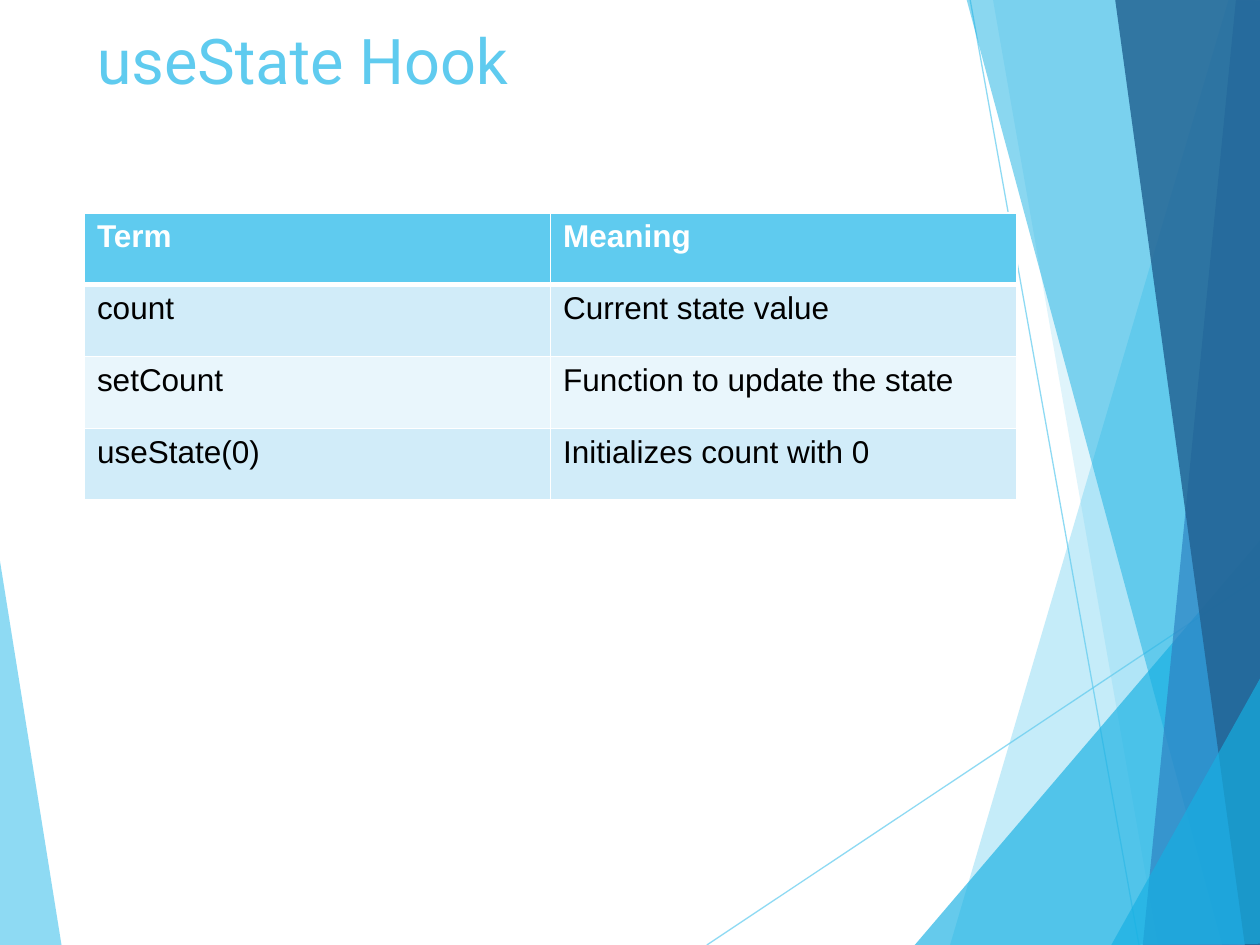
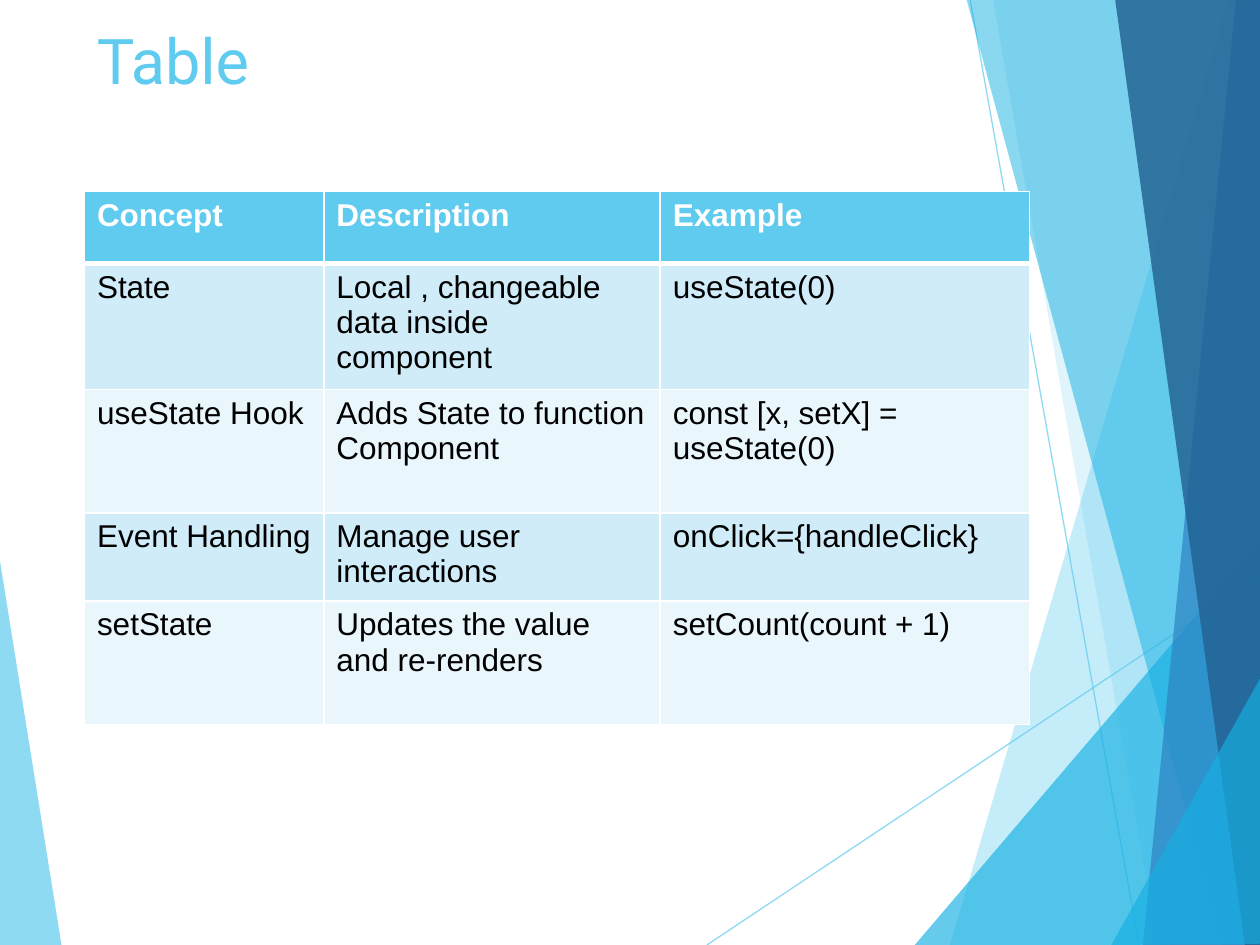
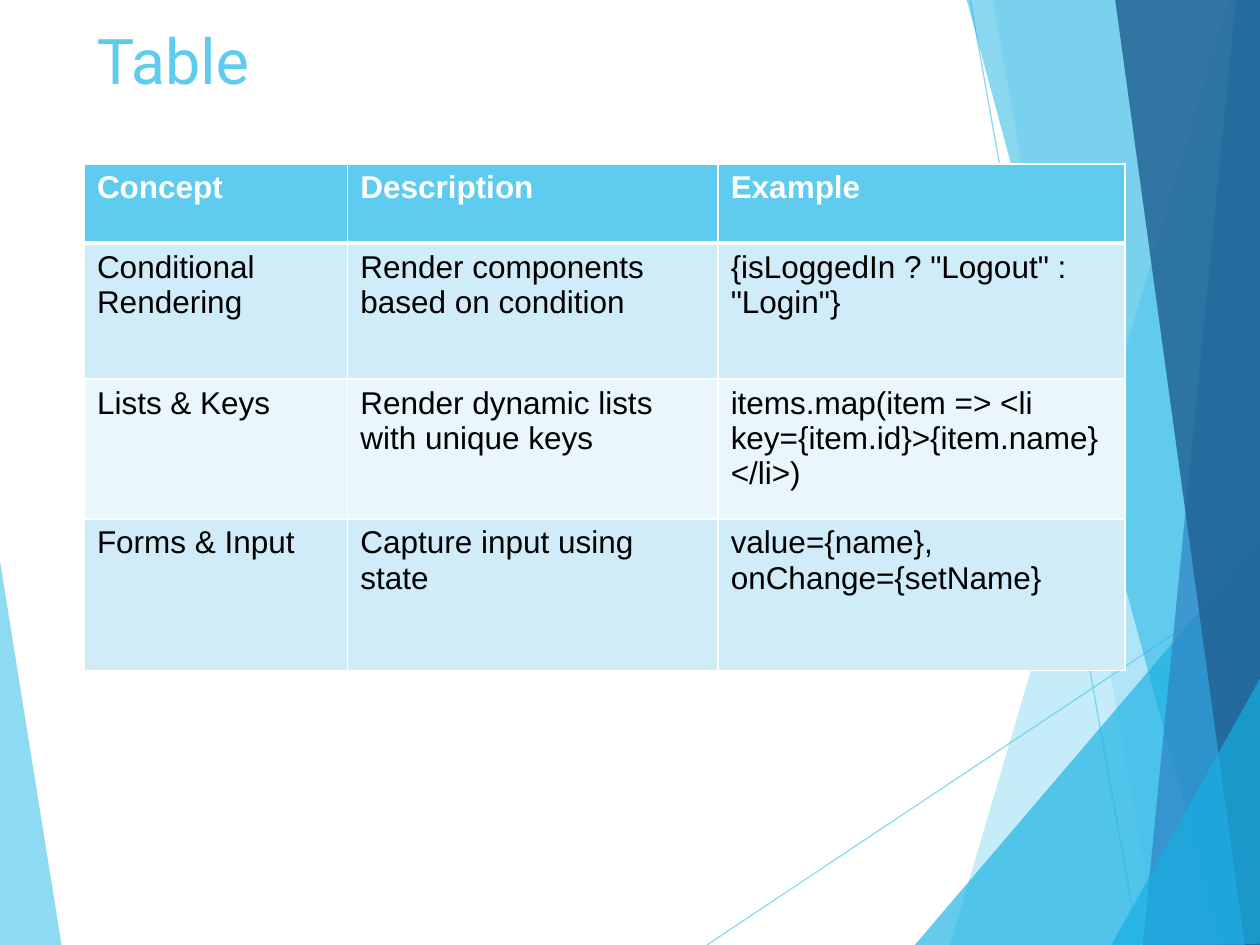
"""Build three slides of React state tables over a shared faceted background."""
from lxml.etree import SubElement
from pptx import Presentation
from pptx.dml.color import RGBColor
from pptx.enum.shapes import MSO_CONNECTOR as Connector
from pptx.enum.text import MSO_ANCHOR as Anchor
from pptx.oxml.ns import qn
from pptx.util import Inches, Pt

SKY, CYAN, BLUE, NAVY = "5FCBEF", "16B0E3", "2E83C3", "226292"
WHITE, BLACK = "FFFFFF", "000000"
ROW_FILLS = ["D1ECF9", "E9F6FC"]
TABLE_LEFT = 0.67
TABLE_HEADER = ["Concept", "Description", "Example"]

SLIDES = [
    {
        "title": "useState Hook", "top": 1.69,
        "widths": [3.7, 3.7], "heights": [0.57] * 4,
        "rows": [
            ["Term", "Meaning"],
            ["count", "Current state value"],
            ["setCount", "Function to update the state"],
            ["useState(0)", "Initializes count with 0"],
        ],
    },
    {
        "title": "Table", "top": 1.52,
        "widths": [1.9, 2.67, 2.93], "heights": [0.57, 0.98, 0.98, 0.57, 0.98],
        "rows": [
            TABLE_HEADER,
            ["State", "Local , changeable data inside component", "useState(0)"],
            ["useState Hook", "Adds State to function Component", "const [x, setX] = useState(0)"],
            ["Event Handling", "Manage user interactions", "onClick={handleClick}"],
            ["setState", "Updates the value and re-renders", "setCount(count + 1)"],
        ],
    },
    {
        "title": "Table", "top": 1.3,
        "widths": [2.09, 2.94, 3.23], "heights": [0.63, 1.08, 1.11, 1.2],
        "rows": [
            TABLE_HEADER,
            ["Conditional Rendering", "Render components based on condition",
             '{isLoggedIn ? "Logout" : "Login"}'],
            ["Lists & Keys", "Render dynamic lists with unique keys",
             "items.map(item => <li key={item.id}>{item.name}</li>)"],
            ["Forms & Input", "Capture input using state", "value={name}, onChange={setName}"],
        ],
    },
]

LEFT_FACET = (SKY, 70, [(-0.01, 4.39), (0.49, 7.51), (-0.01, 7.5)])
RIGHT_FACETS = [
    (SKY, 36, [(9.75, 0), (7.54, 7.5), (10.02, 7.51), (10.01, 0.01)]),
    (SKY, 20, [(7.88, -0.01), (9.19, 7.5), (10.01, 7.5), (10.01, -0.01)]),
    (CYAN, 66, [(7.26, 7.5), (10, 4.29), (10.01, 7.5)]),
    (CYAN, 50, [(7.67, -0.01), (9.7, 7.5), (10.01, 7.49), (10.01, -0.01)]),
    (BLUE, 70, [(9.81, -0.01), (9.07, 7.5), (10.01, 7.5), (10, -0.01)]),
    (NAVY, 82, [(8.85, -0.01), (9.88, 7.5), (10.02, 7.5), (10, -0.01)]),
    (CYAN, 66, [(8.82, 7.5), (10.02, 5.35), (10.02, 7.49)]),
]
RAYS = [(5.61, 7.5, 10.01, 4.57), (7.7, 0, 9.04, 7.5)]


def color(value):
    return RGBColor.from_string(value)


def set_opacity(shape, percent):
    for node in shape._element.iter(qn("a:srgbClr")):
        SubElement(node, qn("a:alpha"), val=str(percent * 1000))


def add_facet(slide, fill, opacity, points):
    corners = [(Inches(x), Inches(y)) for x, y in points]
    builder = slide.shapes.build_freeform(*corners[0], scale=1.0)
    builder.add_line_segments(corners[1:], close=True)
    facet = builder.convert_to_shape()
    facet.shadow.inherit = False
    facet.fill.solid()
    facet.fill.fore_color.rgb = color(fill)
    facet.line.fill.background()
    set_opacity(facet, opacity)


def add_ray(slide, *ends):
    ray = slide.shapes.add_connector(Connector.STRAIGHT, *[Inches(end) for end in ends])
    ray.line.color.rgb = color(SKY)
    ray.line.width = Pt(0.75)
    set_opacity(ray, 70)
    SubElement(ray._element.spPr, qn("a:effectLst"))


def add_background(slide):
    add_facet(slide, *LEFT_FACET)
    for ends in RAYS:
        add_ray(slide, *ends)
    for facet in RIGHT_FACETS:
        add_facet(slide, *facet)


def write(frame, text, size=18, font="Arial", ink=BLACK, bold=False):
    frame.word_wrap = True
    span = frame.paragraphs[0].add_run()
    span.text = text
    span.font.size = Pt(size)
    span.font.name = font
    span.font.bold = bold
    span.font.color.rgb = color(ink)


def add_title(slide, text):
    box = slide.shapes.add_textbox(Inches(TABLE_LEFT), Inches(0.12), Inches(7.26), Inches(1.18))
    box.text_frame.vertical_anchor = Anchor.TOP
    write(box.text_frame, text, size=36, font="Roboto", ink=SKY)


def set_borders(cell, **widths):
    properties = cell._tc.get_or_add_tcPr()
    for side in "LRTB":
        line = SubElement(properties, qn(f"a:ln{side}"), w=str(Pt(widths.get(side, 1))))
        SubElement(SubElement(line, qn("a:solidFill")), qn("a:srgbClr"), val=WHITE)


def add_grid(slide, rows, top, widths, heights):
    table = slide.shapes.add_table(
        len(rows), len(widths), Inches(TABLE_LEFT), Inches(top),
        Inches(sum(widths)), Inches(sum(heights))).table
    for column, width in zip(table.columns, widths):
        column.width = Inches(width)
    for row, height in zip(table.rows, heights):
        row.height = Inches(height)
    for r, texts in enumerate(rows):
        header = r == 0
        for c, text in enumerate(texts):
            cell = table.cell(r, c)
            set_borders(cell, B=3 if header else 1, T=3 if r == 1 else 1)
            cell.fill.solid()
            cell.fill.fore_color.rgb = color(SKY if header else ROW_FILLS[(r - 1) % 2])
            write(cell.text_frame, text, ink=WHITE if header else BLACK, bold=header)


def main():
    deck = Presentation()
    deck.slide_width, deck.slide_height = Inches(10), Inches(7.5)
    for page in SLIDES:
        slide = deck.slides.add_slide(deck.slide_layouts[6])
        add_background(slide)
        add_title(slide, page["title"])
        add_grid(slide, page["rows"], page["top"], page["widths"], page["heights"])
    deck.save("out.pptx")


if __name__ == "__main__":
    main()
